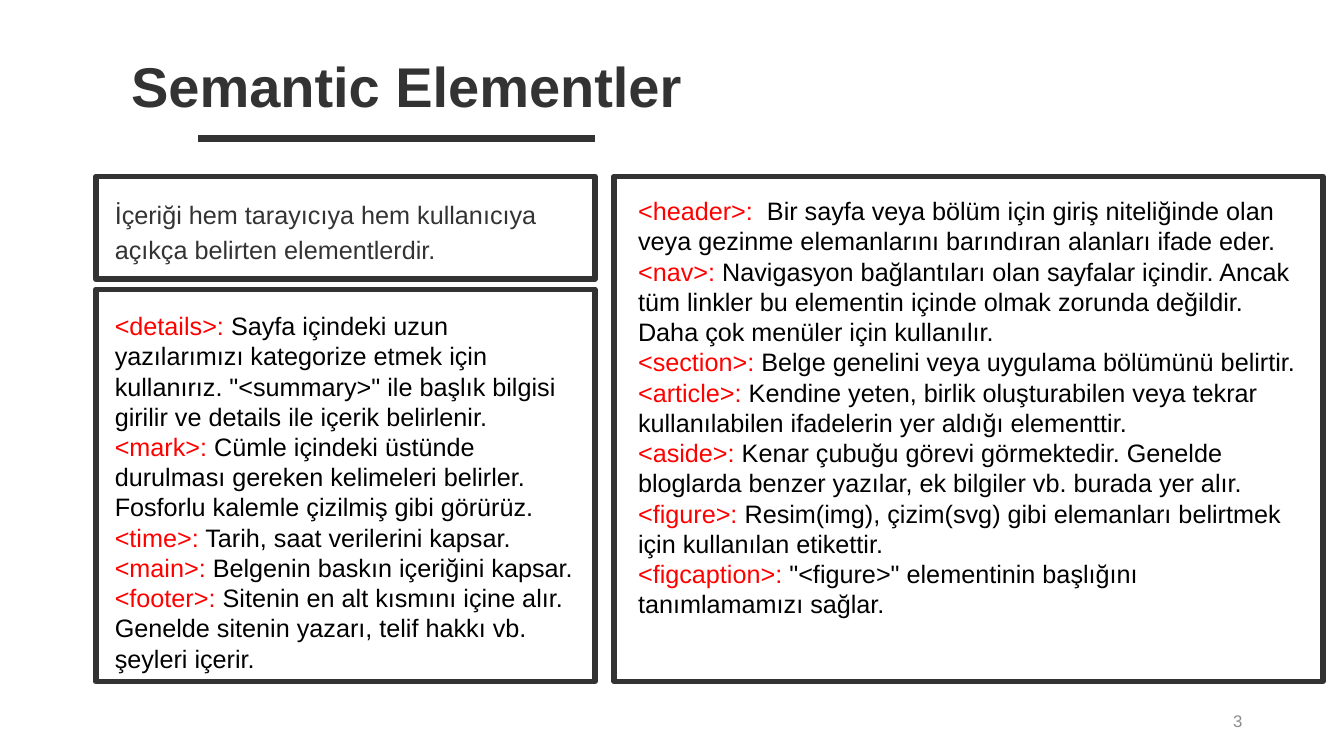
"""Build the slide that explains semantic HTML elements."""
from lxml import etree
from pptx import Presentation
from pptx.dml.color import RGBColor
from pptx.enum.shapes import MSO_CONNECTOR, MSO_SHAPE
from pptx.enum.text import MSO_ANCHOR, MSO_AUTO_SIZE, PP_ALIGN
from pptx.oxml.ns import qn
from pptx.util import Inches, Pt

RECT = MSO_SHAPE.RECTANGLE
STRAIGHT = MSO_CONNECTOR.STRAIGHT
TOP, MIDDLE = MSO_ANCHOR.TOP, MSO_ANCHOR.MIDDLE
CENTER, RIGHT = PP_ALIGN.CENTER, PP_ALIGN.RIGHT
NO_FIT = MSO_AUTO_SIZE.NONE

DARK = RGBColor(0x33, 0x33, 0x33)
RED = RGBColor(0xFF, 0x00, 0x00)
BLACK = RGBColor(0x00, 0x00, 0x00)
GRAY = RGBColor(0x8C, 0x8C, 0x8C)

COL_X, COL_W = (0.95, 6.09), (4.95, 7.03)
ROW_Y, ROW_H = (1.75, 2.87), (1.02, 3.89)
FULL_H = ROW_Y[1] + ROW_H[1] - ROW_Y[0]

INTRO = [("", "İçeriği hem tarayıcıya hem kullanıcıya açıkça belirten elementlerdir.")]
STRUCTURE = [
    ("<header>:", "  Bir sayfa veya bölüm için giriş niteliğinde olan veya gezinme "
     "elemanlarını barındıran alanları ifade eder."),
    ("<nav>:", " Navigasyon bağlantıları olan sayfalar içindir. Ancak tüm linkler bu "
     "elementin içinde olmak zorunda değildir. Daha çok menüler için kullanılır."),
    ("<section>:", " Belge genelini veya uygulama bölümünü belirtir."),
    ("<article>:", " Kendine yeten, birlik oluşturabilen veya tekrar kullanılabilen "
     "ifadelerin yer aldığı elementtir."),
    ("<aside>:", " Kenar çubuğu görevi görmektedir. Genelde bloglarda benzer yazılar, "
     "ek bilgiler vb. burada yer alır."),
    ("<figure>:", " Resim(img), çizim(svg) gibi elemanları belirtmek için kullanılan "
     "etikettir."),
    ("<figcaption>:", " \"<figure>\" elementinin başlığını tanımlamamızı sağlar."),
]
DETAILS = [
    ("<details>:", " Sayfa içindeki uzun yazılarımızı kategorize etmek için kullanırız. "
     "\"<summary>\" ile başlık bilgisi girilir ve details ile içerik belirlenir."),
    ("<mark>:", " Cümle içindeki üstünde durulması gereken kelimeleri belirler. "
     "Fosforlu kalemle çizilmiş gibi görürüz."),
    ("<time>:", " Tarih, saat verilerini kapsar."),
    ("<main>:", " Belgenin baskın içeriğini kapsar."),
    ("<footer>:", " Sitenin en alt kısmını içine alır. Genelde sitenin yazarı, telif "
     "hakkı vb. şeyleri içerir."),
]
PANELS = [
    (0, 0, ROW_H[0], 0.09, 0.14, 4.72, 0.79, INTRO, DARK, 1.14),
    (1, 0, FULL_H, 0.14, 0.14, 6.75, 4.34, STRUCTURE, BLACK, 1.0),
    (0, 1, ROW_H[1], 0.09, 0.16, 4.77, 3.73, DETAILS, BLACK, 1.0),
]


def box(*lengths):
    return [Inches(v) for v in lengths]


def style(r, size, color, bold=False):
    r.font.name = "Arial"
    r.font.size = Pt(size)
    r.font.bold = bold
    r.font.color.rgb = color


prs = Presentation()
prs.slide_width, prs.slide_height = box(13.33, 7.5)
s = prs.slides.add_slide(prs.slide_layouts[5])

title = s.shapes.title
title.left, title.top, title.width, title.height = box(1.2, 0.46, 5.66, 0.77)
tf = title.text_frame
tf.text = "Semantic Elementler"
tf.word_wrap = False
tf.auto_size = NO_FIT
tf.vertical_anchor = TOP
tf.paragraphs[0].alignment = CENTER
style(tf.paragraphs[0].runs[0], 40, DARK, True)

rule = s.shapes.add_connector(STRAIGHT, *box(5.9, 1.37, 1.96, 1.37))
rule.line.color.rgb = DARK
rule.line.width = Pt(5)
etree.SubElement(rule._element.spPr, qn("a:effectLst"))

for col, row, height, dx, dy, text_w, text_h, entries, color, spacing in PANELS:
    x, y = COL_X[col], ROW_Y[row]
    sp = s.shapes.add_shape(RECT, *box(x, y, COL_W[col], height))
    sp.shadow.inherit = False
    sp.fill.background()
    sp.line.color.rgb = DARK
    sp.line.width = Pt(4)

    tf = s.shapes.add_textbox(*box(x + dx, y + dy, text_w, text_h)).text_frame
    tf.word_wrap = True
    for i, (tag, text) in enumerate(entries):
        p = tf.add_paragraph() if i else tf.paragraphs[0]
        p.line_spacing = spacing
        for part, part_color in ((tag, RED), (text, color)):
            if part:
                r = p.add_run()
                r.text = part
                style(r, 18, part_color)

tf = s.shapes.add_textbox(*box(9.42, 6.95, 3, 0.4)).text_frame
tf.word_wrap = True
tf.vertical_anchor = MIDDLE
tf.text = "3"
tf.paragraphs[0].alignment = RIGHT
style(tf.paragraphs[0].runs[0], 12, GRAY)

prs.save("out.pptx")
